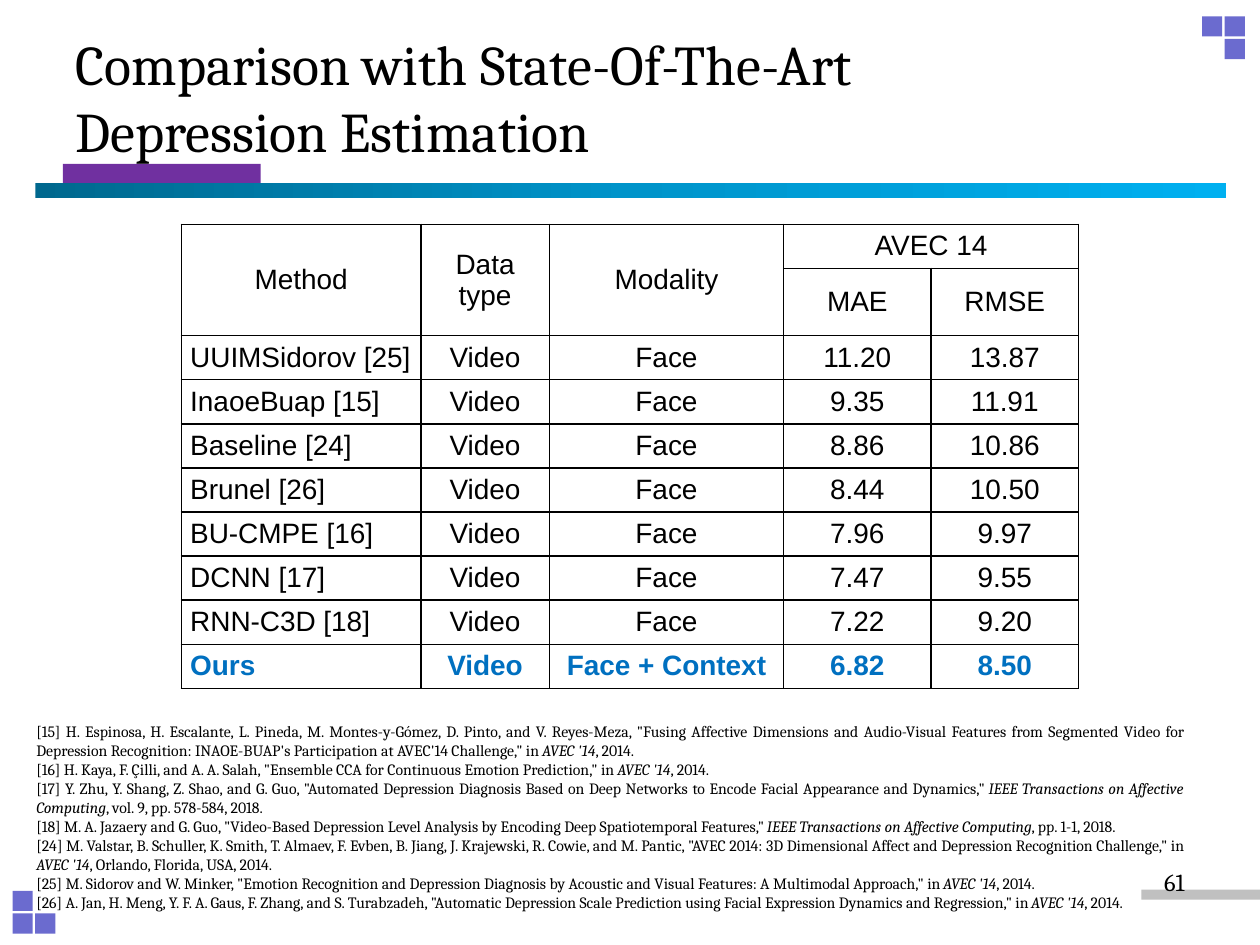
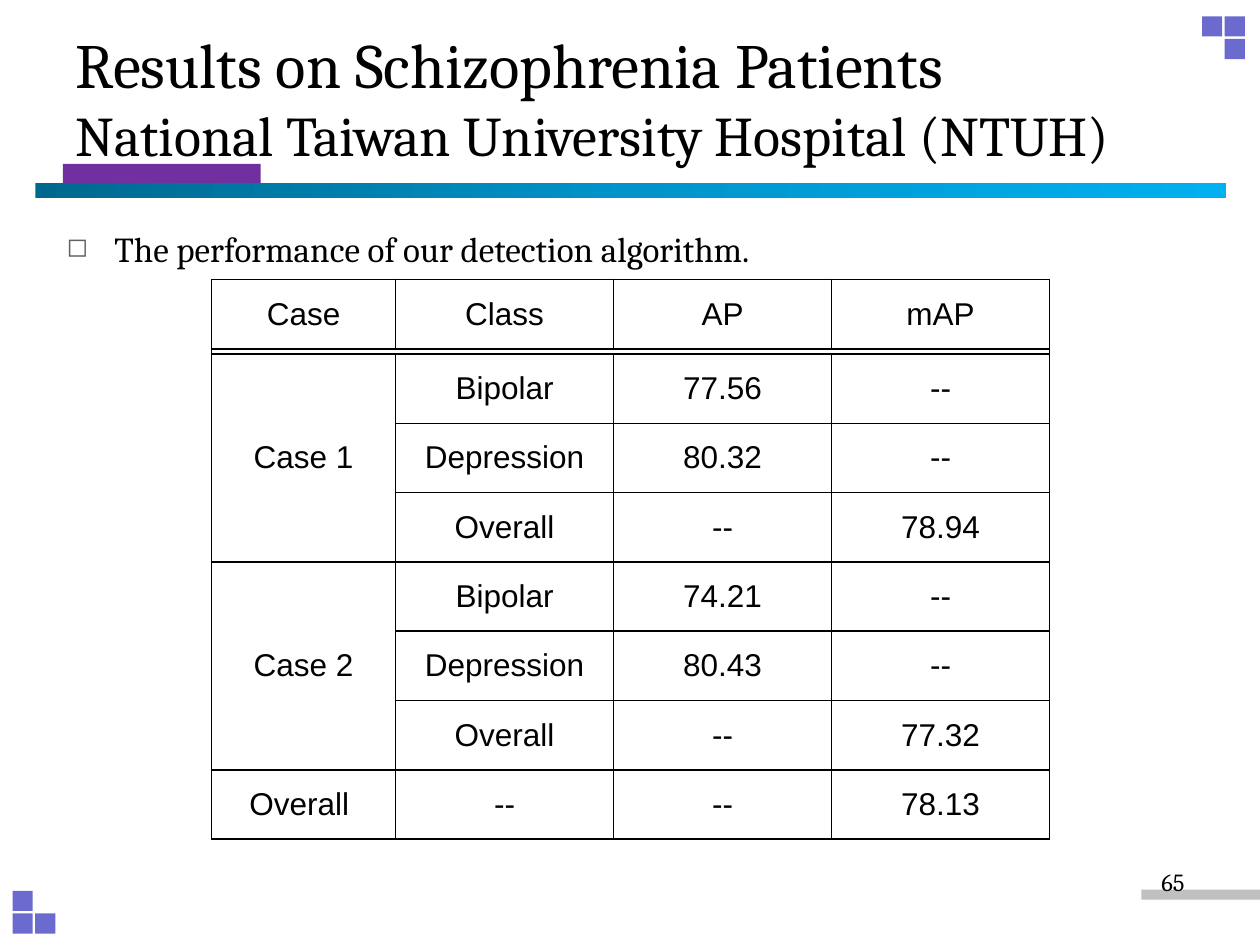
from copy import deepcopy
from lxml.etree import SubElement
from pptx import Presentation
from pptx.dml.color import RGBColor
from pptx.enum.shapes import MSO_SHAPE as Shape
from pptx.enum.text import MSO_ANCHOR as Anchor, MSO_AUTO_SIZE as Fit, PP_ALIGN as Align
from pptx.oxml.ns import qn
from pptx.util import Inches, Pt

BLACK, BLUE, VIOLET, PURPLE = "000000", "0070C0", "6B6BCF", "7030A0"
SILVER, GREY = "C0C0C0", "5F5F5F"
BAND = [(0, "00688E"), (0.5, "0094CA"), (1, "00B0F0")]
SERIF, SANS = "Cambria", "Arial"

SCORES = [
    ["Method", "Data type", "Modality", "AVEC 14", ""],
    ["", "", "", "MAE", "RMSE"],
    *([name, "Video", "Face", mae, rmse] for name, mae, rmse in [
        ("UUIMSidorov [25]", "11.20", "13.87"),
        ("InaoeBuap [15]", "9.35", "11.91"),
        ("Baseline [24]", "8.86", "10.86"),
        ("Brunel [26]", "8.44", "10.50"),
        ("BU-CMPE [16]", "7.96", "9.97"),
        ("DCNN [17]", "7.47", "9.55"),
        ("RNN-C3D [18]", "7.22", "9.20"),
    ]),
    ["Ours", "Video", "Face + Context", "6.82", "8.50"],
]

CASES = [
    ["Case", "Class", "AP", "mAP"],
    [""] * 4,
    ["Case 1", "Bipolar", "77.56", "--"],
    ["", "Depression", "80.32", "--"],
    ["", "Overall", "--", "78.94"],
    ["Case 2", "Bipolar", "74.21", "--"],
    ["", "Depression", "80.43", "--"],
    ["", "Overall", "--", "77.32"],
    ["Overall ", "--", "--", "78.13"],
]

PAPERS = [
    "[15] H. Espinosa, H. Escalante, L. Pineda, M. Montes-y-Gómez, D. Pinto, and V. Reyes-Meza, "
    "\"Fusing Affective Dimensions and Audio-Visual Features from Segmented Video for Depression "
    "Recognition: INAOE-BUAP's Participation at AVEC'14 Challenge,\" in |AVEC '14|, 2014.",
    "[16] H. Kaya, F. Çilli, and A. A. Salah, \"Ensemble CCA for Continuous Emotion Prediction,\" "
    "in |AVEC '14|, 2014.",
    "[17] Y. Zhu, Y. Shang, Z. Shao, and G. Guo, \"Automated Depression Diagnosis Based on Deep "
    "Networks to Encode Facial Appearance and Dynamics,\" "
    "|IEEE Transactions on Affective Computing|, vol. 9, pp. 578-584, 2018.",
    "[18] M. A. Jazaery and G. Guo, \"Video-Based Depression Level Analysis by Encoding Deep "
    "Spatiotemporal Features,\" |IEEE Transactions on Affective Computing|, pp. 1-1, 2018.",
    "[24] M. Valstar, B. Schuller, K. Smith, T. Almaev, F. Evben, B. Jiang, J. Krajewski, R. Cowie, "
    "and M. Pantic, \"AVEC 2014: 3D Dimensional Affect and Depression Recognition Challenge,\" "
    "in |AVEC '14|, Orlando, Florida, USA, 2014. ",
    "[25] M. Sidorov and W. Minker, \"Emotion Recognition and Depression Diagnosis by Acoustic and "
    "Visual Features: A Multimodal Approach,\" in |AVEC '14|, 2014.",
    "[26] A. Jan, H. Meng, Y. F. A. Gaus, F. Zhang, and S. Turabzadeh, \"Automatic Depression Scale "
    "Prediction using Facial Expression Dynamics and Regression,\" in |AVEC '14|, 2014.",
]


def tint(code):
    """Turn a hex string into a colour."""
    return RGBColor.from_string(code)


def write(para, text, size, font=SERIF, color=BLACK, bold=False, align=Align.LEFT):
    """Add text to a paragraph, with the parts between bars in italics."""
    para.alignment = align
    for i, part in enumerate(text.split("|")):
        run = para.add_run()
        run.text = part
        face = run.font
        face.name, face.size, face.bold, face.italic = font, Pt(size), bold, i % 2 == 1
        face.color.rgb = tint(color)


def note(slide, box, lines, size, **form):
    """Place a text box with one paragraph for each line."""
    frame = slide.shapes.add_textbox(*map(Inches, box)).text_frame
    frame.word_wrap = True
    for i, line in enumerate(lines):
        para = frame.add_paragraph() if i else frame.paragraphs[0]
        write(para, line, size, **form)
    return frame


def block(slide, box, color):
    """Draw a plain filled rectangle."""
    shape = slide.shapes.add_shape(Shape.RECTANGLE, *map(Inches, box))
    shape.shadow.inherit = False
    shape.line.fill.background()
    shape.fill.solid()
    shape.fill.fore_color.rgb = tint(color)
    return shape


def corner(slide, left, top, spots):
    """Draw small squares on a grid that starts at a corner."""
    step, side = 0.18, 0.16
    for col, row in spots:
        block(slide, (left + col * step, top + row * step, side, side), VIOLET)


def band(slide, box):
    """Draw the band with the blue gradient."""
    shape = block(slide, box, BLUE)
    fill = shape.fill
    fill.gradient()
    stops = shape.element.xpath(".//a:gsLst")[0]
    stops.insert(1, deepcopy(stops[0]))
    for stop, (place, color) in zip(fill.gradient_stops, BAND):
        stop.position = place
        stop.color.rgb = tint(color)
    fill.gradient_angle = 0


def head(slide, box, lines):
    """Format the title from pairs of text and size."""
    title = slide.shapes.title
    slide.shapes.element.append(title.element)
    title.left, title.top, title.width, title.height = map(Inches, box)
    frame = title.text_frame
    frame.auto_size, frame.word_wrap = Fit.NONE, True
    frame.vertical_anchor = Anchor.MIDDLE
    para = frame.paragraphs[0]
    for i, (text, size) in enumerate(lines):
        if i:
            look = deepcopy(para.runs[-1]._r.rPr)
            para.add_line_break()
            para._p[-1].append(look)
        write(para, text, size)


def page(deck, lines, number):
    """Add a slide with the shared decoration, title and number."""
    slide = deck.slides.add_slide(deck.slide_layouts[5])
    block(slide, (9.06, 7.06, 0.94, 0.08), SILVER)
    corner(slide, 9.54, 0.13, [(0, 0), (1, 0), (1, 1)])
    block(slide, (0.5, 1.3, 1.57, 0.16), PURPLE)
    band(slide, (0.28, 1.45, 9.45, 0.12))
    corner(slide, 0.1, 7.07, [(0, 0), (0, 1), (1, 1)])
    head(slide, (0.5, 0.14, 9, 1.25), lines)
    note(slide, (7.17, 6.83, 2.33, 0.52), [str(number)], 14, align=Align.RIGHT)
    return slide


def frame_cell(cell, pad):
    """Give a cell its margins, black borders and no fill."""
    cell.margin_left = cell.margin_right = Inches(pad)
    cell.margin_top = cell.margin_bottom = 0
    cell.vertical_anchor = Anchor.MIDDLE
    props = cell._tc.get_or_add_tcPr()
    for side in "LRTB":
        line = SubElement(props, qn("a:ln" + side), w=str(Pt(1)))
        SubElement(SubElement(line, qn("a:solidFill")), qn("a:srgbClr"), val=BLACK)
    cell.fill.background()


def grid(slide, spot, data, cols, rows, spans, form):
    """Build a bordered table; form gives the text format of a cell."""
    size = sum(cols), sum(rows)
    table = slide.shapes.add_table(len(rows), len(cols), *map(Inches, spot + size)).table
    table.first_row = table.horz_banding = False
    for col, width in zip(table.columns, cols):
        col.width = Inches(width)
    for r, (row, height) in enumerate(zip(table.rows, rows)):
        row.height = Inches(height)
        for c, text in enumerate(data[r]):
            cell = table.cell(r, c)
            frame_cell(cell, 0.07)
            para = cell.text_frame.paragraphs[0]
            if text:
                write(para, text, font=SANS, **form(r, c))
            else:
                SubElement(para._p, qn("a:endParaRPr"), sz="100")
    for first, last in spans:
        table.cell(*first).merge(table.cell(*last))


def score_form(row, col):
    """Format the score table: names at left, the last row in blue."""
    ours = row == len(SCORES) - 1
    return dict(size=16, bold=ours, color=BLUE if ours else BLACK,
                align=Align.LEFT if row > 1 and col == 0 else Align.CENTER)


def case_form(row, col):
    """Format the case table: every cell alike."""
    return dict(size=18, align=Align.CENTER)


def point(slide, box, text):
    """Place a line of body text with a square bullet."""
    frame = note(slide, box, [""], 20)
    para = frame.paragraphs[0]
    para.clear()
    props = para._p.get_or_add_pPr()
    props.set("marL", str(Inches(0.38)))
    props.set("indent", str(Inches(-0.38)))
    SubElement(SubElement(props, qn("a:buClr")), qn("a:srgbClr"), val=GREY)
    SubElement(props, qn("a:buSzPct"), val="75000")
    SubElement(props, qn("a:buChar"), char="◻")
    write(para, text, 20, align=Align.JUSTIFY)


def compare(deck):
    """Build the slide that compares methods."""
    slide = page(deck, [("Comparison with State-Of-The-Art", 32),
                        ("Depression Estimation", 32)], 61)
    spans = [((0, c), (1, c)) for c in range(3)] + [((0, 3), (0, 4))]
    grid(slide, (1.44, 1.78), SCORES, (1.9, 1.02, 1.86, 1.17, 1.17),
         (0.35, 0.5) + (0.35,) * 8, spans, score_form)
    note(slide, (0.19, 5.68, 9.3, 1.62), PAPERS, 9, align=Align.JUSTIFY)


def results(deck):
    """Build the slide with results by case."""
    slide = page(deck, [("Results on Schizophrenia Patients", 36),
                        ("National Taiwan University Hospital (NTUH)", 32)], 65)
    point(slide, (0.43, 1.76, 9, 0.45), "The performance of our detection algorithm.")
    spans = [((1, 0), (1, 3)), ((2, 0), (4, 0)), ((5, 0), (7, 0))]
    grid(slide, (1.68, 2.22), CASES, (1.46, 1.73, 1.73, 1.73),
         (0.55, 0.04) + (0.55,) * 7, spans, case_form)


def main():
    """Build and save the deck."""
    deck = Presentation()
    deck.slide_width, deck.slide_height = Inches(10), Inches(7.5)
    compare(deck)
    results(deck)
    deck.save("out.pptx")


if __name__ == "__main__":
    main()
